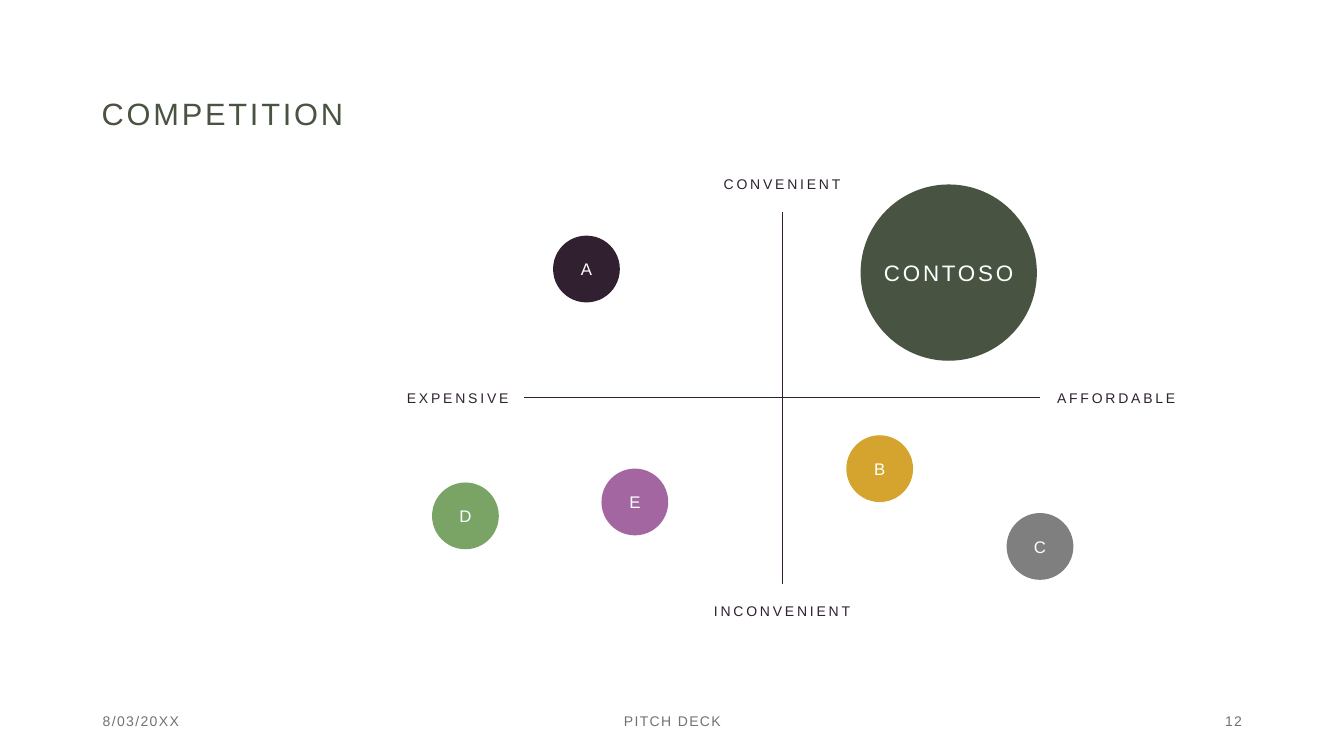
from dataclasses import dataclass

from lxml import etree
from pptx import Presentation
from pptx.dml.color import RGBColor
from pptx.enum.shapes import MSO_CONNECTOR, MSO_SHAPE
from pptx.enum.text import MSO_ANCHOR, MSO_AUTO_SIZE, PP_ALIGN
from pptx.oxml.ns import qn
from pptx.util import Cm, Pt

LEFT, CENTER, RIGHT = PP_ALIGN.LEFT, PP_ALIGN.CENTER, PP_ALIGN.RIGHT
MIDDLE = MSO_ANCHOR.MIDDLE
NO_FIT = MSO_AUTO_SIZE.NONE
OVAL = MSO_SHAPE.OVAL
STRAIGHT = MSO_CONNECTOR.STRAIGHT
TOP_SIDE, LEFT_SIDE, BOTTOM_SIDE, RIGHT_SIDE = range(4)


@dataclass(frozen=True)
class Theme:
    font: str = "Arial"
    green: str = "485441"
    plum: str = "302030"
    leaf: str = "79A466"
    mauve: str = "A466A1"
    gold: str = "D4A42E"
    gray: str = "7F7F7F"
    muted: str = "767171"
    white: str = "FFFFFF"
    title: int = 22
    leader: int = 16
    rival: int = 12
    small: int = 10


THEME = Theme()


def write(shape, text, size, color, align=CENTER, gap=2, wrap=True):
    """Fill a shape with one line of text, letter-spaced by gap points."""
    frame = shape.text_frame
    frame.text = text
    look = {"word_wrap": wrap, "auto_size": NO_FIT, "vertical_anchor": MIDDLE}
    for name, value in look.items():
        setattr(frame, name, value)
    para = frame.paragraphs[0]
    para.alignment = align
    run = para.runs[0]
    for name, value in {"name": THEME.font, "size": Pt(size), "bold": False}.items():
        setattr(run.font, name, value)
    run.font.color.rgb = RGBColor.from_string(color)
    run._r.get_or_add_rPr().set("spc", str(gap * 100))


def add_label(slide, text, box, color, **style):
    label = slide.shapes.add_textbox(*map(Cm, box))
    write(label, text, THEME.small, color, **style)
    return label


def add_axis(slide, start, side, end, other):
    """Join the given sides of two labels with a thin line."""
    axis = slide.shapes.add_connector(STRAIGHT, 0, 0, 0, 0)
    axis.begin_connect(start, side)
    axis.end_connect(end, other)
    axis.line.color.rgb = RGBColor.from_string(THEME.plum)
    axis.line.width = Pt(0.5)
    etree.SubElement(axis._element.spPr, qn("a:effectLst"))


def add_bubble(slide, text, x, y, width, color, size):
    """Draw a named circle centred on x, y."""
    half = width / 2
    bubble = slide.shapes.add_shape(
        OVAL, Cm(x - half), Cm(y - half), Cm(width), Cm(width))
    bubble.shadow.inherit = False
    shade = RGBColor.from_string(color)
    bubble.fill.solid()
    bubble.fill.fore_color.rgb = shade
    bubble.line.color.rgb = shade
    bubble.line.width = Pt(1.5)
    write(bubble, text, size, THEME.white, wrap=False)


def add_title(slide, box):
    title = slide.shapes.title
    for name, value in zip(("left", "top", "width", "height"), box):
        setattr(title, name, Cm(value))
    write(title, "COMPETITION", THEME.title, THEME.green, LEFT)
    title.text_frame.paragraphs[0].line_spacing = 0.9


def add_map(slide, box):
    """Place the four axis labels, the axes and the bubbles in the box."""
    x, y, width, height = box
    tall, wide, near, far = 1.37, 4.75, 3.35, 3.84
    cross = x + (near + width - far) / 2
    mid = y + (height - tall) / 2
    places = {
        "CONVENIENT": (cross - wide / 2, y, wide, tall),
        "INCONVENIENT": (cross - wide / 2, y + height - tall, wide, tall),
        "EXPENSIVE": (x, mid, near, tall),
        "AFFORDABLE": (x + width - far, mid, far, tall),
    }
    north, south, west, east = (
        add_label(slide, text, place, THEME.plum) for text, place in places.items())
    add_axis(slide, west, RIGHT_SIDE, east, LEFT_SIDE)
    add_axis(slide, south, TOP_SIDE, north, BOTTOM_SIDE)

    add_bubble(slide, "CONTOSO", x + 14.05, y + 2.91, 4.39, THEME.green, THEME.leader)
    rivals = (
        ("A", 4.92, 2.82, THEME.plum),
        ("B", 12.31, 7.85, THEME.gold),
        ("C", 16.35, 9.81, THEME.gray),
        ("D", 1.87, 9.04, THEME.leaf),
        ("E", 6.14, 8.69, THEME.mauve),
    )
    for name, dx, dy, color in rivals:
        add_bubble(slide, name, x + dx, y + dy, 1.63, color, THEME.rival)


def add_footer(slide, box):
    x, y, width, height = box
    side, main = 7.62, 11.43
    parts = (
        ("8/03/20XX", x, side, LEFT),
        ("PITCH DECK", x + (width - main) / 2, main, CENTER),
        ("12", x + width - side, side, RIGHT),
    )
    for text, left, span, align in parts:
        add_label(slide, text, (left, y, span, height), THEME.muted,
                  align=align, gap=1)


def main():
    deck = Presentation()
    deck.slide_width, deck.slide_height = Cm(33.87), Cm(19.05)
    slide = deck.slides.add_slide(deck.slide_layouts.get_by_name("Title Only"))
    add_title(slide, (2.31, 2.01, 12.19, 1.78))
    add_map(slide, (9.86, 3.96, 20.19, 12.12))
    add_footer(slide, (2.34, 17.65, 29.21, 1.02))
    deck.save("out.pptx")


if __name__ == "__main__":
    main()
